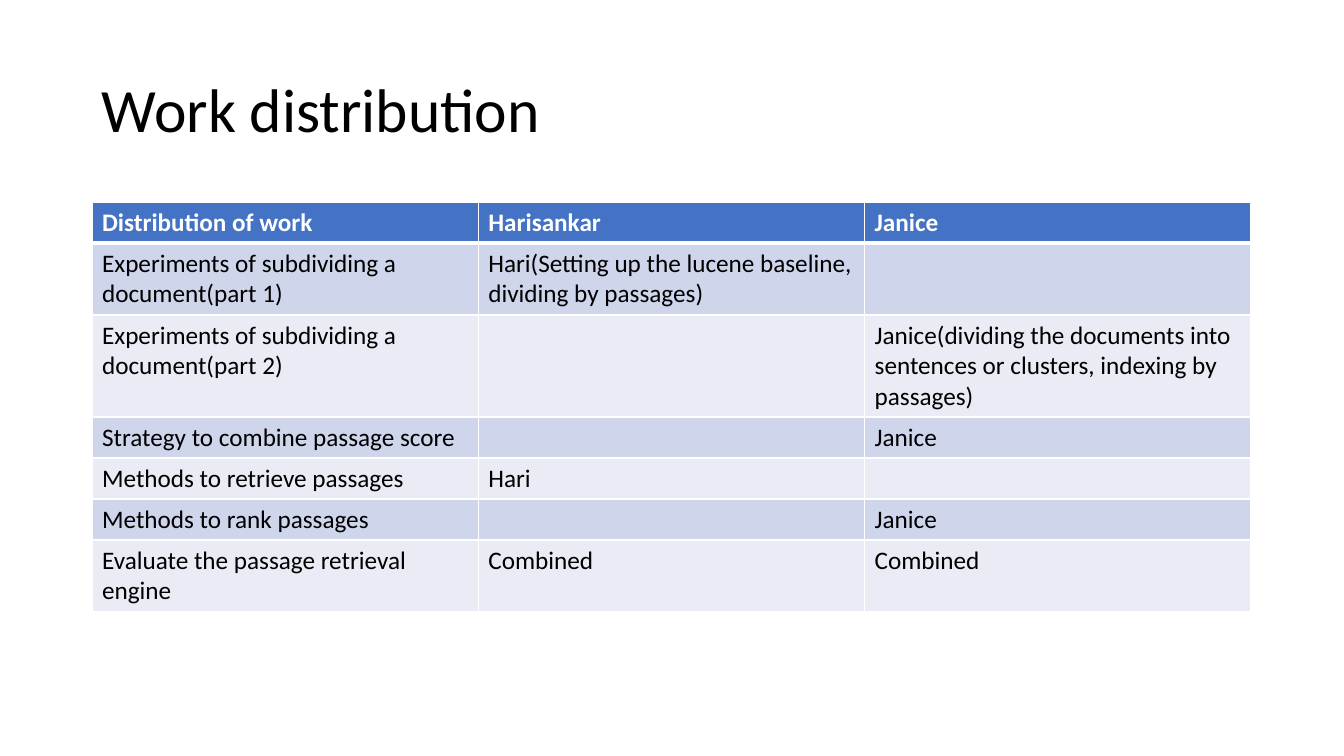
from dataclasses import dataclass

from lxml.etree import SubElement
from pptx import Presentation
from pptx.dml.color import RGBColor
from pptx.enum.text import MSO_ANCHOR
from pptx.oxml.ns import qn
from pptx.util import Pt

EMU_PER_PIXEL = 914400 / 100.8


@dataclass(frozen=True)
class Theme:
    """Colours, font and type sizes of the slide."""
    font: str = "Calibri"
    title_size: int = 44
    table_size: int = 18
    text: str = "000000"
    light: str = "FFFFFF"
    header: str = "4472C4"
    bands: tuple = ("CFD5EA", "E9EBF5")


THEME = Theme()
TITLE = "Work distribution"
WORK_ROWS = [
    ("Distribution of work", "Harisankar", "Janice"),
    ("Experiments of subdividing a document(part 1)",
     "Hari(Setting up the lucene baseline, dividing by passages)", ""),
    ("Experiments of subdividing a document(part 2)", "",
     "Janice(dividing the documents into sentences or clusters, indexing by passages)"),
    ("Strategy to combine passage score", "", "Janice"),
    ("Methods to retrieve passages", "Hari", ""),
    ("Methods to rank passages", "", "Janice"),
    ("Evaluate the passage retrieval engine", "Combined", "Combined"),
]
ROW_HEIGHTS = (41, 72, 102, 41, 41, 41, 72)


def px(pixels):
    """Turn pixels into EMU."""
    return round(pixels * EMU_PER_PIXEL)


def style_paragraph(paragraph, size, color, bold=False):
    """Set the font of a whole paragraph."""
    font = paragraph.font
    font.name, font.size, font.bold = THEME.font, Pt(size), bold
    font.color.rgb = RGBColor.from_string(color)


def add_title(slide, text, left, top, width, height):
    """Add the vertically centred slide title."""
    frame = slide.shapes.add_textbox(px(left), px(top), px(width), px(height)).text_frame
    frame.word_wrap = True
    frame.vertical_anchor = MSO_ANCHOR.MIDDLE
    paragraph = frame.paragraphs[0]
    paragraph.text = text
    paragraph.line_spacing = 0.9
    style_paragraph(paragraph, THEME.title_size, THEME.text)


def add_borders(cell, widths):
    """Draw the cell borders, given as points by side."""
    properties = cell._tc.get_or_add_tcPr()
    for side, width in widths.items():
        line = SubElement(properties, qn(f"a:ln{side}"), w=str(Pt(width)))
        fill = SubElement(line, qn("a:solidFill"))
        SubElement(fill, qn("a:srgbClr"), val=THEME.light)


def fill_cell(cell, text, row):
    """Write and style one cell according to its row."""
    is_header = row == 0
    borders = dict(L=1, R=1, T=3 if row == 1 else 1, B=3 if is_header else 1)
    add_borders(cell, borders)
    cell.fill.solid()
    background = THEME.header if is_header else THEME.bands[(row - 1) % 2]
    cell.fill.fore_color.rgb = RGBColor.from_string(background)
    paragraph = cell.text_frame.paragraphs[0]
    if text:
        paragraph.text = text
    color = THEME.light if is_header else THEME.text
    style_paragraph(paragraph, THEME.table_size, color, is_header)


def add_work_table(slide, rows, left, top, width):
    """Add the table of tasks and people with equal columns."""
    table = slide.shapes.add_table(len(rows), len(rows[0]), px(left), px(top),
                                   px(width), px(sum(ROW_HEIGHTS))).table
    for row, (texts, height) in enumerate(zip(rows, ROW_HEIGHTS)):
        table.rows[row].height = px(height)
        for column, text in enumerate(texts):
            fill_cell(table.cell(row, column), text, row)


def main():
    """Build and save the slide."""
    presentation = Presentation()
    presentation.slide_width, presentation.slide_height = px(1344), px(756)
    slide = presentation.slides.add_slide(presentation.slide_layouts[6])
    add_title(slide, TITLE, 92, 40, 1159, 146)
    add_work_table(slide, WORK_ROWS, 92, 202, 1159)
    presentation.save("out.pptx")


main()
